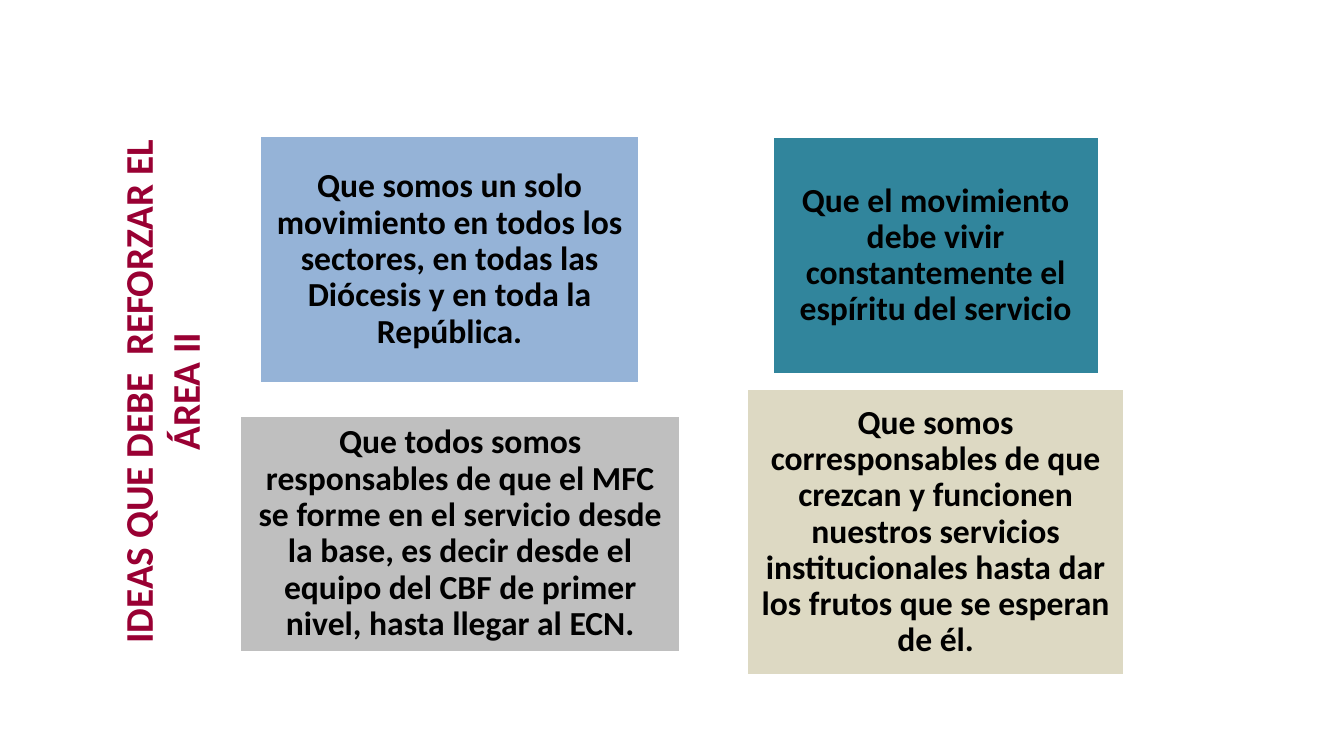
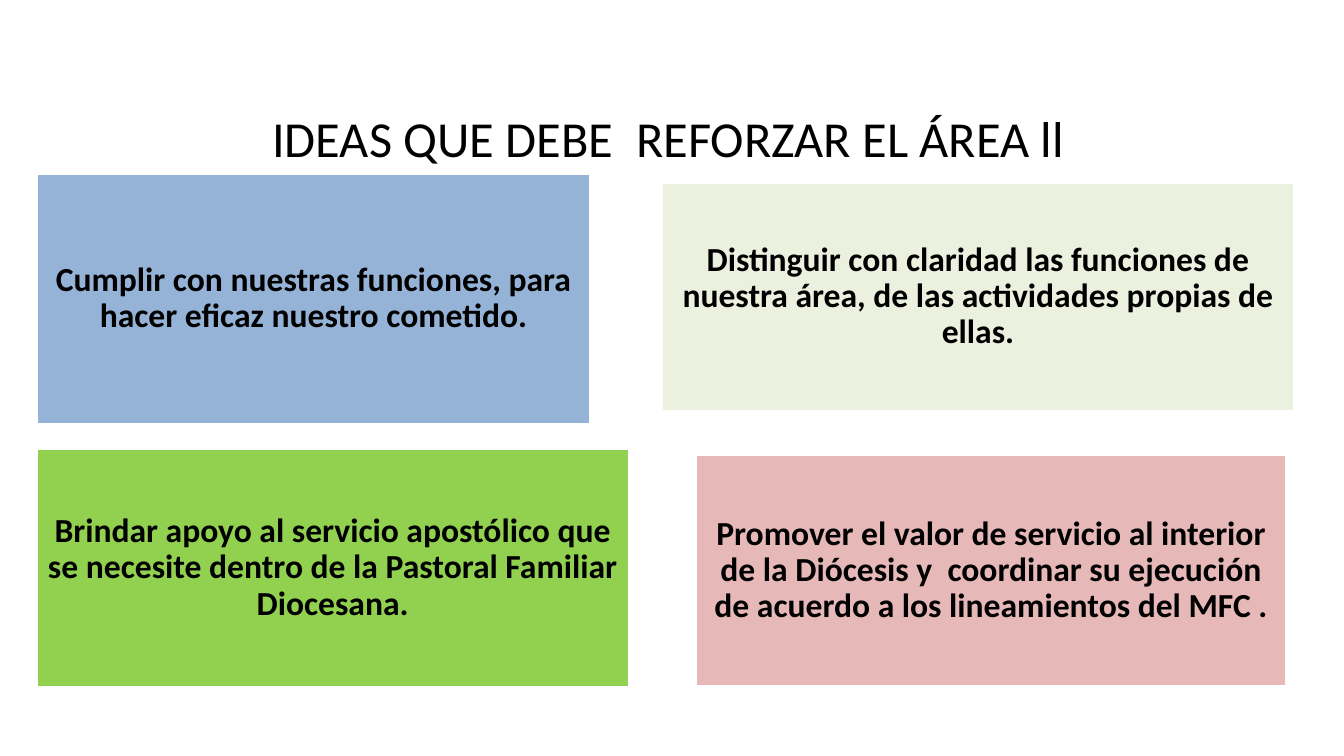
from pptx import Presentation
from pptx.dml.color import RGBColor
from pptx.enum.shapes import MSO_SHAPE
from pptx.enum.text import MSO_ANCHOR, PP_ALIGN
from pptx.util import Inches, Pt

BLACK, WHITE, CRIMSON = "000000", "FFFFFF", "990033"
BLUE, TEAL, GRAY, SAND = "95B3D7", "31859C", "BFBFBF", "DDD9C3"
MINT, ROSE, GREEN = "EBF1DE", "E6B9B8", "92D050"


def rgb(color):
    return RGBColor.from_string(color)


class Deck:
    """Holds the shared style and the slide being filled."""

    font = "Calibri"
    idea_size = 24
    idea_inset = 0.1
    title_insets = (0.12, 0.06)

    def __init__(self):
        self.prs = Presentation()
        self.prs.slide_width = Inches(13.33)
        self.prs.slide_height = Inches(7.5)
        self.s = None

    def new_slide(self):
        self.s = self.prs.slides.add_slide(self.prs.slide_layouts[6])

    def set_text(self, sp, text, size, color, bold, insets):
        """Puts one centred paragraph in a shape and returns it."""
        tf = sp.text_frame
        tf.text = text
        tf.word_wrap = True
        tf.vertical_anchor = MSO_ANCHOR.MIDDLE
        tf.margin_left = tf.margin_right = Inches(insets[0])
        tf.margin_top = tf.margin_bottom = Inches(insets[1])
        p = tf.paragraphs[0]
        p.alignment = PP_ALIGN.CENTER
        font = p.runs[0].font
        font.name, font.size, font.bold = self.font, Pt(size), bold
        font.color.rgb = rgb(color)
        return p

    def title(self, text, box, size, color=BLACK, bold=False, rotation=0):
        sp = self.s.shapes.add_textbox(*map(Inches, box))
        sp.rotation = rotation
        self.set_text(sp, text, size, color, bold, self.title_insets)

    def idea(self, text, box, fill):
        """Adds a filled rectangle with one idea in bold."""
        sp = self.s.shapes.add_shape(MSO_SHAPE.RECTANGLE, *map(Inches, box))
        sp.shadow.inherit = False
        sp.fill.solid()
        sp.fill.fore_color.rgb = rgb(fill)
        sp.line.color.rgb = rgb(WHITE)
        sp.line.width = Pt(2)
        p = self.set_text(sp, text, self.idea_size, BLACK, True,
                          (self.idea_inset, self.idea_inset))
        p.line_spacing = 0.9

    def ideas(self, items):
        for text, box, fill in items:
            self.idea(text, box, fill)


def main():
    deck = Deck()

    deck.new_slide()
    deck.title("IDEAS QUE DEBE  REFORZAR EL ÁREA II", (-1.39, 3.37, 5.97, 1.03),
               28, CRIMSON, bold=True, rotation=270)
    deck.ideas([
        ("Que somos un solo movimiento en todos los sectores, en todas las "
         "Diócesis y en toda la República.", (2.58, 1.35, 3.76, 2.45), BLUE),
        ("Que el movimiento debe vivir constantemente el espíritu del servicio",
         (7.66, 1.36, 3.24, 2.35), TEAL),
        ("Que todos somos responsables de que el MFC se forme en el servicio "
         "desde la base, es decir desde el equipo del CBF de primer nivel, "
         "hasta llegar al ECN.", (2.38, 4.12, 4.37, 2.35), GRAY),
        ("Que somos corresponsables de que crezcan y funcionen nuestros "
         "servicios institucionales hasta dar los frutos que se esperan de él.",
         (7.41, 3.86, 3.74, 2.84), SAND),
    ])

    deck.new_slide()
    deck.title("IDEAS QUE DEBE  REFORZAR EL ÁREA ll", (1.55, 1.04, 10.16, 0.64), 36)
    deck.ideas([
        ("Cumplir con nuestras funciones, para hacer eficaz nuestro cometido.",
         (0.36, 1.72, 5.5, 2.49), BLUE),
        ("Distinguir con claridad las funciones de nuestra área, de las "
         "actividades propias de ellas.", (6.56, 1.81, 6.28, 2.27), MINT),
        ("Promover el valor de servicio al interior de la Diócesis y  coordinar "
         "su ejecución de acuerdo a los lineamientos del MFC .",
         (6.9, 4.51, 5.86, 2.3), ROSE),
        ("Brindar apoyo al servicio apostólico que se necesite dentro de la "
         "Pastoral Familiar Diocesana.", (0.36, 4.45, 5.88, 2.37), GREEN),
    ])

    deck.prs.save("out.pptx")


if __name__ == "__main__":
    main()
